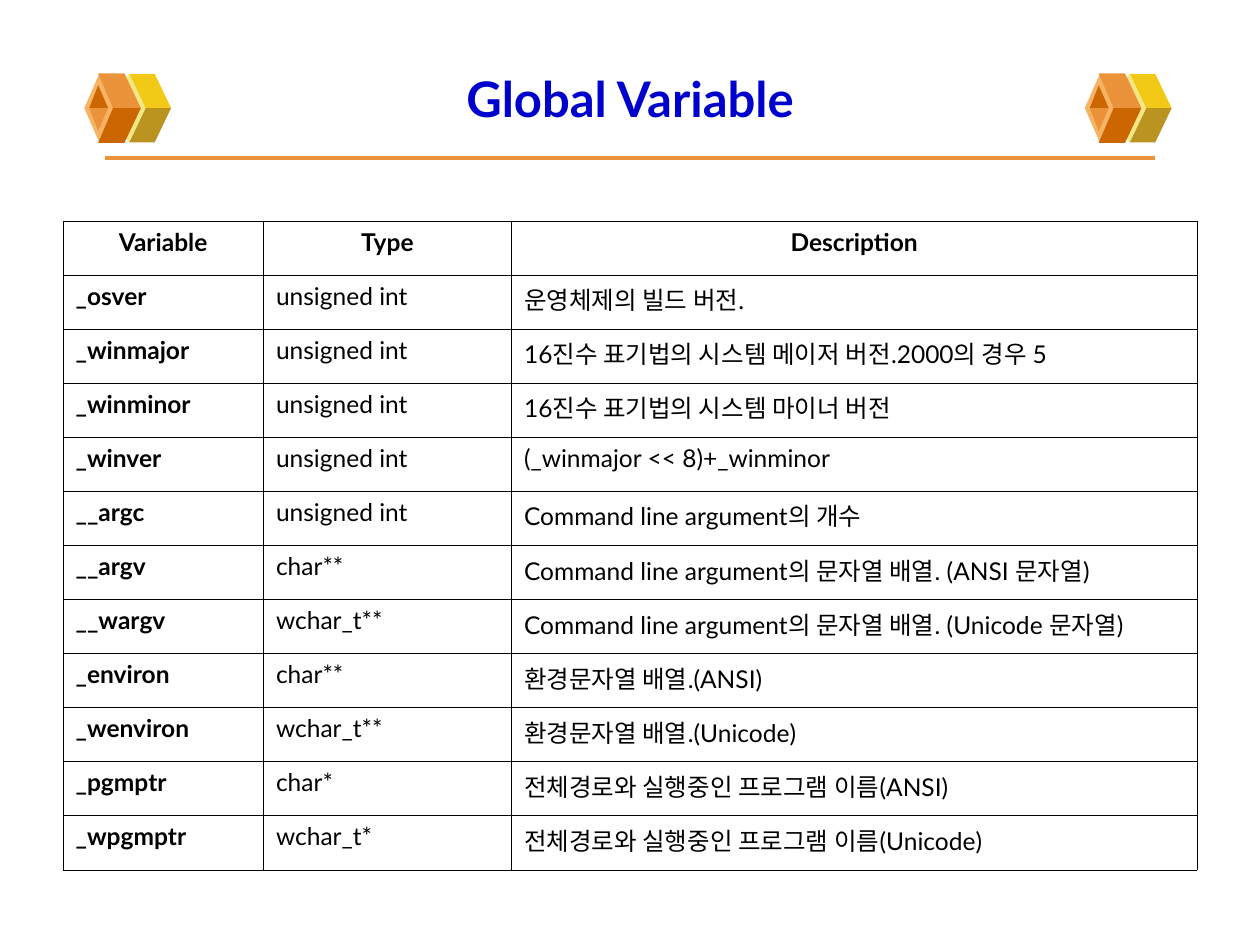
import pptx
import pptx.util
import pptx.dml.color
import pptx.enum.shapes
import pptx.enum.text
import pptx.oxml
import pptx.oxml.ns

Cm, Pt = pptx.util.Cm, pptx.util.Pt
ALIGN = pptx.enum.text.PP_ALIGN
FONT = "Lato"
COLORS = {
    "title": "0000CC", "text": "000000", "border": "000000",
    "orange": "EB933B", "dark_orange": "CC6600", "light_orange": "F5B363",
    "yellow": "F3C917", "dark_yellow": "BB9321", "light_yellow": "F1E785",
}

# Content
TITLE = "Global Variable"
HEADER = ("Variable", "Type", "Description")
VARIABLES = [
    ("_osver", "unsigned int", "운영체제의 빌드 버전."),
    ("_winmajor", "unsigned int", "16진수 표기법의 시스템 메이저 버전.2000의 경우 5"),
    ("_winminor", "unsigned int", "16진수 표기법의 시스템 마이너 버전"),
    ("_winver", "unsigned int", "(_winmajor << 8)+_winminor"),
    ("__argc", "unsigned int", "Command line argument의 개수"),
    ("__argv", "char**", "Command line argument의 문자열 배열. (ANSI 문자열)"),
    ("__wargv", "wchar_t**", "Command line argument의 문자열 배열. (Unicode 문자열)"),
    ("_environ", "char**", "환경문자열 배열.(ANSI)"),
    ("_wenviron", "wchar_t**", "환경문자열 배열.(Unicode)"),
    ("_pgmptr", "char*", "전체경로와 실행중인 프로그램 이름(ANSI)"),
    ("_wpgmptr", "wchar_t*", "전체경로와 실행중인 프로그램 이름(Unicode)"),
]

# Layout in centimetres
PAGE_WIDTH, PAGE_HEIGHT = 25.4, 19.05
MARGIN = 1.27
COLUMN_WIDTHS = (4.04, 5.0, 13.82)
TABLE_TOP, ROW_HEIGHT = 4.45, 1.09
BLOCK_LEFTS, BLOCK_MIDDLE = (1.7, 21.87), 2.18
DIAMOND_HEIGHT = 1.4

# Each block: two halves, a diamond (left, width, colour) behind its faces.
# A face is drawn above the middle, then mirrored below in the second colour.
YELLOW_FACE = [(1.24, 0), (1.75, 0), (1.42, 0.69), (0.91, 0.69)]
ORANGE_FACE = [(0.58, 0), (1.14, 0), (0.81, 0.7), (0.28, 0.7)]
TRIANGLE = [(0.28, 0.46), (0.1, 0), (0.48, 0)]
BLOCK_HALVES = [
    ((0.48, 0.84, "light_yellow"), [(YELLOW_FACE, "yellow", "dark_yellow")]),
    ((0, 0.61, "light_orange"), [(ORANGE_FACE, "orange", "dark_orange"),
                                 (TRIANGLE, "dark_orange", "orange")]),
]


def rgb(name):
    return pptx.dml.color.RGBColor.from_string(COLORS[name])


def paint(shape, color):
    shape.shadow.inherit = False
    shape.fill.solid()
    shape.fill.fore_color.rgb = rgb(color)
    shape.line.fill.background()


def add_face(page, points, color):
    corners = [(Cm(x), Cm(y)) for x, y in points]
    builder = page.shapes.build_freeform(*corners[0])
    builder.add_line_segments(corners[1:], close=True)
    paint(builder.convert_to_shape(), color)


def add_block(page, left):
    for (offset, width, color), faces in BLOCK_HALVES:
        diamond = page.shapes.add_shape(
            pptx.enum.shapes.MSO_SHAPE.DIAMOND, Cm(left + offset),
            Cm(BLOCK_MIDDLE - DIAMOND_HEIGHT / 2), Cm(width), Cm(DIAMOND_HEIGHT))
        paint(diamond, color)
        for points, upper, lower in faces:
            for side, face_color in ((-1, upper), (1, lower)):
                add_face(page, [(left + x, BLOCK_MIDDLE + side * y)
                                for x, y in points], face_color)


def add_span(para, text, size, color, bold):
    span = para.add_run()
    span.text = text
    span.font.name = FONT
    span.font.size = Pt(size)
    span.font.bold = bold
    span.font.color.rgb = rgb(color)


def add_borders(cell):
    properties = cell._tc.get_or_add_tcPr()
    namespace = pptx.oxml.ns.nsdecls("a")
    for index, side in enumerate(("lnL", "lnR", "lnT", "lnB")):
        properties.insert(index, pptx.oxml.parse_xml(
            f'<a:{side} {namespace} w="{Pt(0.11)}"><a:solidFill>'
            f'<a:srgbClr val="{COLORS["border"]}"/></a:solidFill></a:{side}>'))


def add_header(page):
    rule = page.shapes.add_connector(
        pptx.enum.shapes.MSO_CONNECTOR.STRAIGHT,
        Cm(2.12), Cm(3.18), Cm(PAGE_WIDTH - 2.12), Cm(3.18))
    rule.line.color.rgb = rgb("orange")
    rule.line.width = Pt(2.25)
    rule._element.spPr.append(pptx.oxml.parse_xml(
        f'<a:effectLst {pptx.oxml.ns.nsdecls("a")}/>'))
    for left in BLOCK_LEFTS:
        add_block(page, left)

    box = page.shapes.add_textbox(
        Cm(MARGIN), Cm(0.76), Cm(PAGE_WIDTH - 2 * MARGIN), Cm(2.41))
    box.text_frame.word_wrap = True
    box.text_frame.vertical_anchor = pptx.enum.text.MSO_ANCHOR.MIDDLE
    para = box.text_frame.paragraphs[0]
    para.alignment = ALIGN.CENTER
    add_span(para, TITLE, 28, "title", True)


def add_variable_table(page):
    rows = [HEADER] + VARIABLES
    table = page.shapes.add_table(
        len(rows), len(HEADER), Cm(MARGIN), Cm(TABLE_TOP),
        Cm(sum(COLUMN_WIDTHS)), Cm(ROW_HEIGHT * len(rows))).table
    table.first_row = table.horz_banding = False
    for column, width in zip(table.columns, COLUMN_WIDTHS):
        column.width = Cm(width)
    for r, texts in enumerate(rows):
        table.rows[r].height = Cm(ROW_HEIGHT)
        for c, text in enumerate(texts):
            cell = table.cell(r, c)
            cell.fill.background()
            add_borders(cell)
            para = cell.text_frame.paragraphs[0]
            para.space_before = Pt(3.5)
            para.alignment = ALIGN.CENTER if r == 0 else ALIGN.LEFT
            add_span(para, text, 14, "text", r == 0 or c == 0)


def main():
    deck = pptx.Presentation()
    deck.slide_width, deck.slide_height = Cm(PAGE_WIDTH), Cm(PAGE_HEIGHT)
    page = deck.slides.add_slide(deck.slide_layouts[6])
    add_header(page)
    add_variable_table(page)
    deck.save("out.pptx")


if __name__ == "__main__":
    main()
